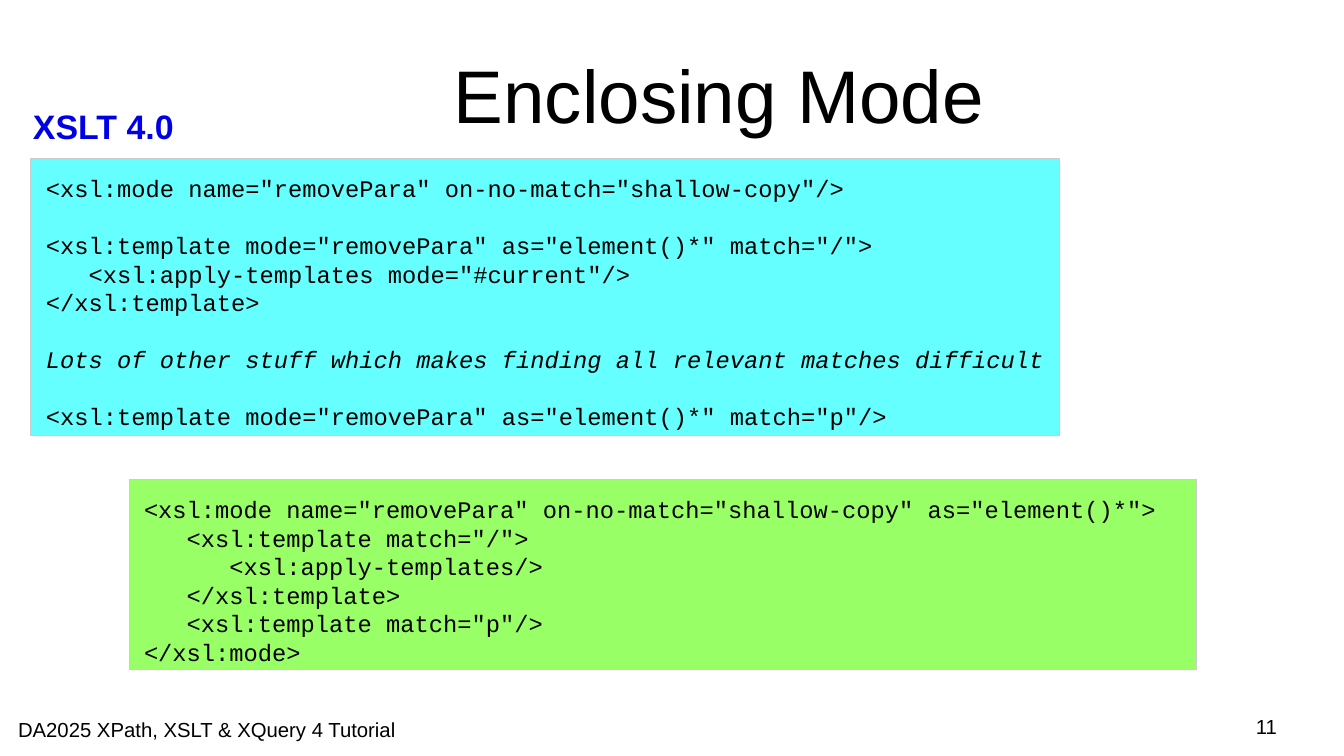
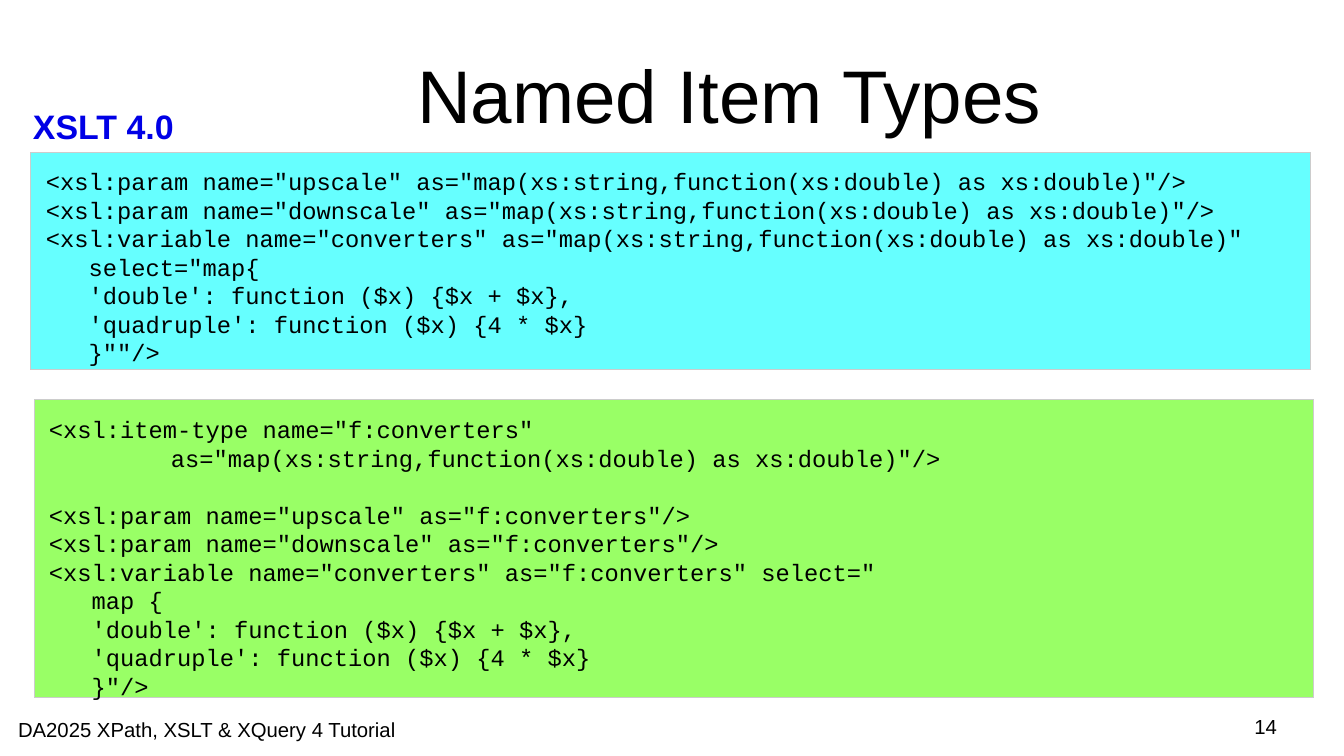
from dataclasses import dataclass

from lxml.etree import SubElement
from pptx import Presentation
from pptx.dml.color import RGBColor
from pptx.enum.shapes import MSO_SHAPE
from pptx.enum.text import MSO_ANCHOR, PP_ALIGN
from pptx.oxml.ns import qn
from pptx.slide import Slide
from pptx.text.text import TextFrame, _Paragraph
from pptx.util import Emu, Pt

EMU_PER_PX = 914400 // 122

BLACK = RGBColor(0x00, 0x00, 0x00)
BLUE = RGBColor(0x00, 0x00, 0xE6)
CYAN = RGBColor(0x66, 0xFF, 0xFF)
GREEN = RGBColor(0x99, 0xFF, 0x66)
GRAY = RGBColor(0xCC, 0xCC, 0xCC)

SANS = "Arial"
MONO = "Courier New"
CODE_SIZE = 14
CODE_LINE = 16.8
CODE_INSET = 15
CODE_TAB = 122
HAIRLINE = Emu(1)
FOOTER = "DA2025 XPath, XSLT & XQuery 4 Tutorial"


@dataclass(frozen=True)
class Box:
    left: int
    top: int
    width: int
    height: int

    def emu(self) -> tuple[Emu, Emu, Emu, Emu]:
        return px(self.left), px(self.top), px(self.width), px(self.height)


@dataclass(frozen=True)
class Label:
    """Look and place of a single line of text."""
    box: Box
    size: int
    color: RGBColor = BLACK
    bold: bool = False
    align: PP_ALIGN = PP_ALIGN.LEFT
    anchor: MSO_ANCHOR = MSO_ANCHOR.TOP


@dataclass(frozen=True)
class CodePanel:
    """Code on a coloured panel; lines starting with REMARK are italic."""
    box: Box
    fill: RGBColor
    code: str


@dataclass(frozen=True)
class CodeSlide:
    title: str
    number: int
    panels: tuple[CodePanel, ...]


REMARK = "Lots of"

TITLE_LABEL = Label(Box(181, 30, 1097, 127), 44, align=PP_ALIGN.CENTER,
                    anchor=MSO_ANCHOR.MIDDLE)
VERSION_LABEL = Label(Box(33, 106, 144, 38), 20, BLUE, bold=True)
FOOTER_LABEL = Label(Box(18, 717, 426, 23), 12)
NUMBER_LABEL = Label(Box(964, 714, 313, 29), 12, align=PP_ALIGN.RIGHT)

SLIDES = (
    CodeSlide("Enclosing Mode ", 11, (
        CodePanel(Box(31, 159, 1029, 277), CYAN, """\
<xsl:mode name="removePara" on-no-match="shallow-copy"/>

<xsl:template mode="removePara" as="element()*" match="/">
   <xsl:apply-templates mode="#current"/>
</xsl:template>

Lots of other stuff which makes finding all relevant matches difficult

<xsl:template mode="removePara" as="element()*" match="p"/>"""),
        CodePanel(Box(129, 480, 1068, 190), GREEN, """\
<xsl:mode name="removePara" on-no-match="shallow-copy" as="element()*">
   <xsl:template match="/">
      <xsl:apply-templates/>
   </xsl:template>
   <xsl:template match="p"/>
</xsl:mode>"""),
    )),
    CodeSlide("Named Item Types", 14, (
        CodePanel(Box(31, 152, 1280, 218), CYAN, """\
<xsl:param name="upscale" as="map(xs:string,function(xs:double) as xs:double)"/>
<xsl:param name="downscale" as="map(xs:string,function(xs:double) as xs:double)"/>
<xsl:variable name="converters" as="map(xs:string,function(xs:double) as xs:double)"
   select="map{
   'double': function ($x) {$x + $x},
   'quadruple': function ($x) {4 * $x}
   }""/>"""),
        CodePanel(Box(34, 400, 1280, 298), GREEN, """\
<xsl:item-type name="f:converters"
\tas="map(xs:string,function(xs:double) as xs:double)"/>

<xsl:param name="upscale" as="f:converters"/>
<xsl:param name="downscale" as="f:converters"/>
<xsl:variable name="converters" as="f:converters" select="
   map {
   'double': function ($x) {$x + $x},
   'quadruple': function ($x) {4 * $x}
   }"/>"""),
    )),
)


def px(length: int) -> Emu:
    return Emu(length * EMU_PER_PX)


def set_insets(frame: TextFrame, inset: int) -> None:
    frame.margin_left = frame.margin_right = px(inset)
    frame.margin_top = frame.margin_bottom = px(inset)


def add_label(slide: Slide, label: Label, text: str) -> None:
    frame = slide.shapes.add_textbox(*label.box.emu()).text_frame
    frame.word_wrap = True
    frame.vertical_anchor = label.anchor
    set_insets(frame, 0)
    paragraph = frame.paragraphs[0]
    paragraph.alignment = label.align
    run = paragraph.add_run()
    run.text = text
    run.font.name = SANS
    run.font.size = Pt(label.size)
    run.font.bold = label.bold
    run.font.color.rgb = label.color


def add_tab_stop(paragraph: _Paragraph, position: int) -> None:
    tab_list = SubElement(paragraph._p.get_or_add_pPr(), qn("a:tabLst"))
    SubElement(tab_list, qn("a:tab"), pos=str(px(position)), algn="l")


def add_code(frame: TextFrame, code: str) -> None:
    """Write one paragraph per line; a blank line becomes space before the next."""
    gap = 0.0
    for index, line in enumerate(code.split("\n")):
        if not line:
            gap += CODE_LINE
            continue
        paragraph = frame.add_paragraph() if index else frame.paragraphs[0]
        paragraph.alignment = PP_ALIGN.LEFT
        paragraph.space_before = Pt(gap)
        gap = 0.0
        if line.startswith("\t"):
            add_tab_stop(paragraph, CODE_TAB)
        run = paragraph.add_run()
        run.text = line
        run.font.name = MONO
        run.font.size = Pt(CODE_SIZE)
        run.font.italic = line.startswith(REMARK)
        run.font.color.rgb = BLACK


def add_panel(slide: Slide, panel: CodePanel) -> None:
    shape = slide.shapes.add_shape(MSO_SHAPE.RECTANGLE, *panel.box.emu())
    shape.shadow.inherit = False
    shape.fill.solid()
    shape.fill.fore_color.rgb = panel.fill
    shape.line.color.rgb = GRAY
    shape.line.width = HAIRLINE
    frame = shape.text_frame
    frame.word_wrap = True
    frame.vertical_anchor = MSO_ANCHOR.TOP
    set_insets(frame, CODE_INSET)
    frame.margin_right = px(0)
    add_code(frame, panel.code)


def main() -> None:
    presentation = Presentation()
    presentation.slide_width = px(1344)
    presentation.slide_height = px(756)
    blank_layout = presentation.slide_layouts[6]
    for content in SLIDES:
        slide = presentation.slides.add_slide(blank_layout)
        add_label(slide, TITLE_LABEL, content.title)
        add_label(slide, VERSION_LABEL, "XSLT 4.0")
        for panel in content.panels:
            add_panel(slide, panel)
        add_label(slide, FOOTER_LABEL, FOOTER)
        add_label(slide, NUMBER_LABEL, str(content.number))
    presentation.save("out.pptx")


if __name__ == "__main__":
    main()
